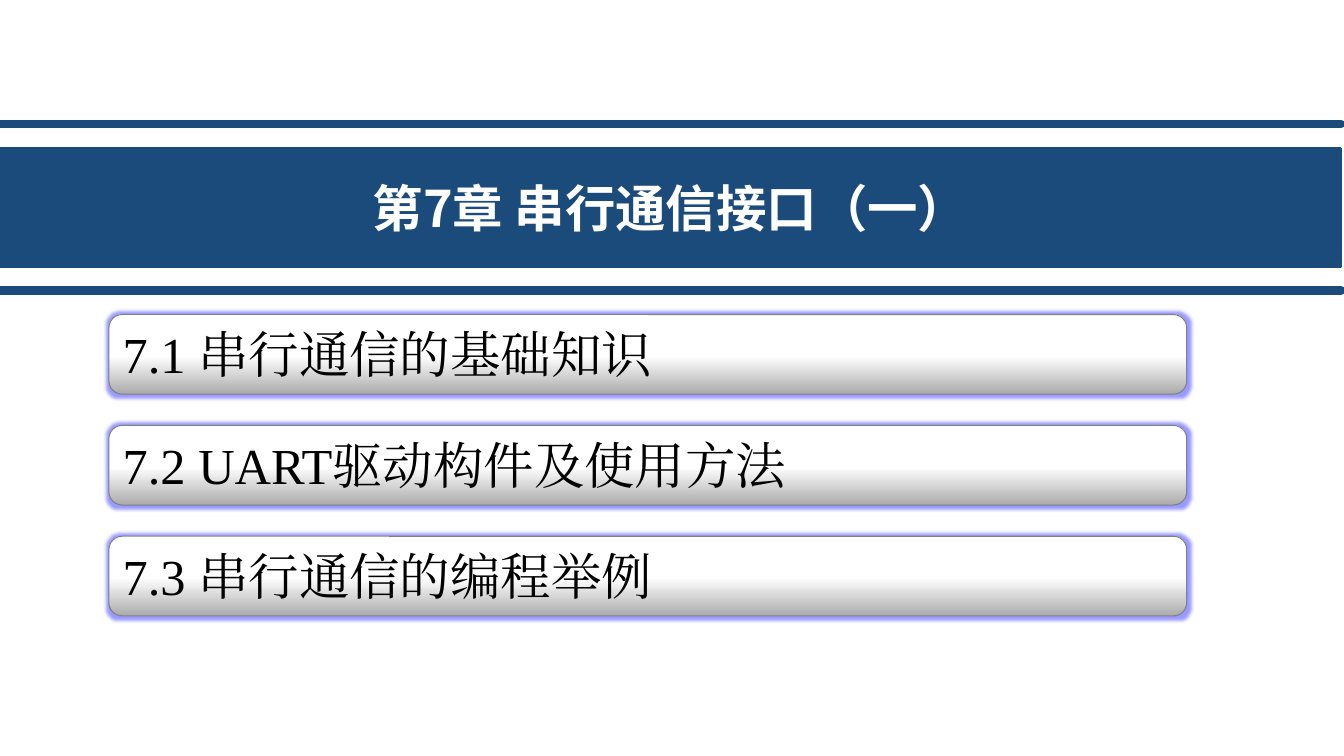
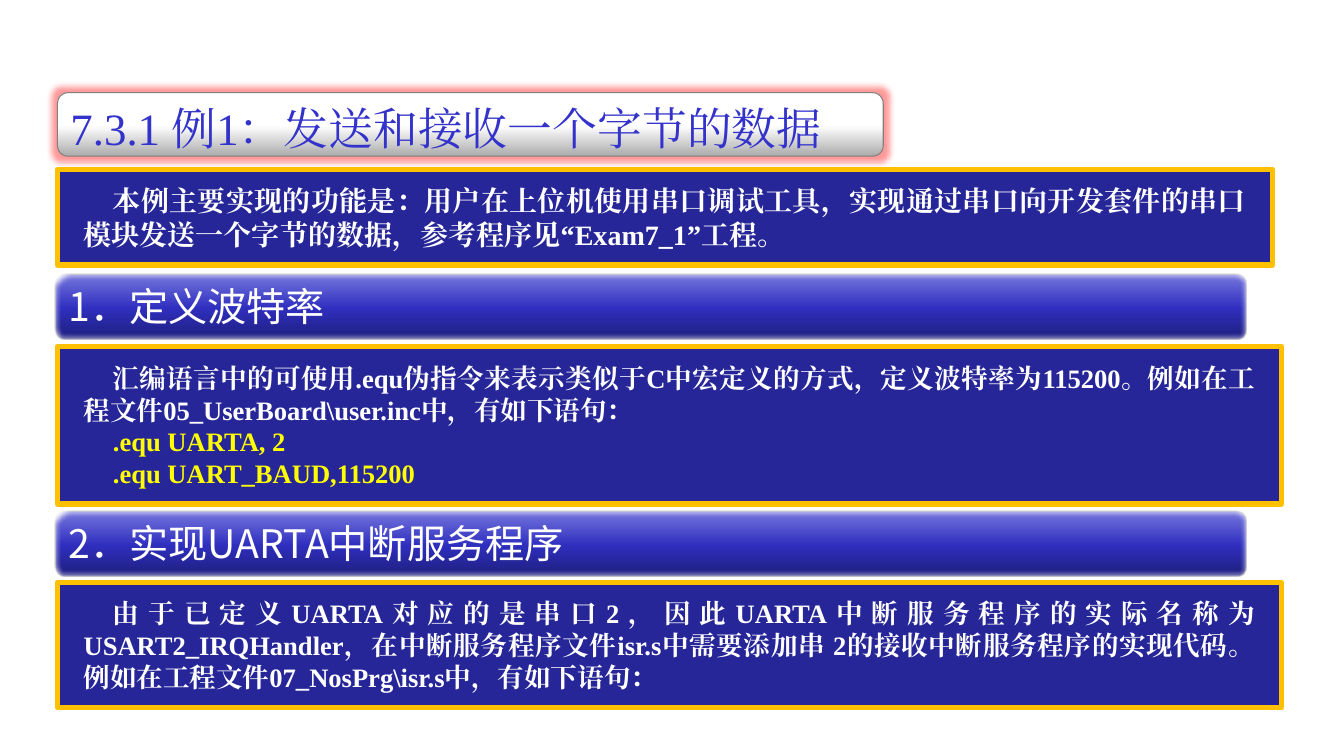
"""Build the chapter opener and the first worked example on serial communication."""
from dataclasses import dataclass
from typing import Optional

import pptx
import pptx.dml.color
import pptx.enum.shapes
import pptx.enum.text
import pptx.oxml
import pptx.oxml.ns
import pptx.util
from lxml import etree

Inches = pptx.util.Inches
Pt = pptx.util.Pt
RGBColor = pptx.dml.color.RGBColor
Shape = pptx.enum.shapes.MSO_SHAPE
Align = pptx.enum.text.PP_ALIGN
Anchor = pptx.enum.text.MSO_ANCHOR
qn = pptx.oxml.ns.qn

SANS = "Noto Sans CJK SC"
SERIF = "Times New Roman"
WHITE = RGBColor(0xFF, 0xFF, 0xFF)
BLACK = RGBColor(0x00, 0x00, 0x00)
GRAY = RGBColor(0x80, 0x80, 0x80)
SILVER = RGBColor(0xAB, 0xAB, 0xAB)
BANNER_BLUE = RGBColor(0x1B, 0x4B, 0x7B)
HEADING_BLUE = RGBColor(0x33, 0x33, 0xCC)
PANEL_BLUE = RGBColor(0x26, 0x26, 0x99)
GOLD = RGBColor(0xFF, 0xC0, 0x00)
YELLOW = RGBColor(0xFF, 0xFF, 0x00)
BLUE_GLOW = RGBColor(0x33, 0x33, 0xFF)
RED_GLOW = RGBColor(0xFF, 0x33, 0x33)
SILVER_FADE = (SILVER, WHITE, WHITE)
BLUE_FADE = (RGBColor(0x1E, 0x1E, 0x7C), RGBColor(0x2F, 0x2F, 0xC0), RGBColor(0x78, 0x78, 0xDE))
FADE_STOPS = (0, 48000, 100000)


@dataclass(frozen=True)
class Box:
    """Place of a shape in inches."""
    left: float
    top: float
    width: float
    height: float


@dataclass(frozen=True)
class Plate:
    """Rounded heading with a vertical fade; no glow means soft edges."""
    box: Box
    text: str
    size: int
    color: RGBColor
    font: str = SERIF
    fade: tuple = SILVER_FADE
    glow: Optional[RGBColor] = None
    glow_radius: float = 0


@dataclass(frozen=True)
class Panel:
    """Framed body text, followed by optional code lines."""
    box: Box
    text: str
    size: int
    code: tuple = ()


CHAPTER_SECTIONS = (
    "7.1 串行通信的基础知识",
    "7.2 UART驱动构件及使用方法",
    "7.3 串行通信的编程举例",
)
EXAMPLE_HEADING = Plate(Box(0.57, 0.92, 8.19, 0.63), "7.3.1 例1：发送和接收一个字节的数据",
                        32, HEADING_BLUE, glow=RED_GLOW, glow_radius=8)
STEPS = tuple(
    Plate(Box(0.55, top, 11.81, 0.64), text, 28, WHITE, SANS, BLUE_FADE)
    for top, text in ((2.72, "1．定义波特率"), (5.07, "2．实现UARTA中断服务程序"))
)
PANELS = (
    Panel(Box(0.57, 1.68, 12.05, 0.95),
          "本例主要实现的功能是：用户在上位机使用串口调试工具，实现通过串口向开发套件的"
          "串口模块发送一个字节的数据，参考程序见“Exam7_1”工程。", 20),
    Panel(Box(0.57, 3.44, 12.14, 1.56),
          "汇编语言中的可使用.equ伪指令来表示类似于C中宏定义的方式，定义波特率为115200。"
          "例如在工程文件05_UserBoard\\user.inc中，有如下语句：", 19,
          (".equ UARTA, 2", ".equ UART_BAUD,115200")),
    Panel(Box(0.57, 5.78, 12.14, 1.24),
          "由于已定义UARTA对应的是串口2，因此UARTA中断服务程序的实际名称为"
          "USART2_IRQHandler，在中断服务程序文件isr.s中需要添加串 2的接收中断服务程序的"
          "实现代码。例如在工程文件07_NosPrg\\isr.s中，有如下语句：", 19),
)


def write(paragraph, text: str, *, size: int, color: RGBColor, font: str = SERIF,
          bold: bool = False, align=Align.LEFT, indent: float = 0) -> None:
    """Put formatted text into a paragraph."""
    paragraph.alignment = align
    if indent:
        properties = paragraph._p.get_or_add_pPr()
        properties.set("marL", "0")
        properties.set("indent", str(Inches(indent)))
    run = paragraph.add_run()
    run.text = text
    run.font.size = Pt(size)
    run.font.bold = bold
    run.font.name = font
    run.font.color.rgb = color
    etree.SubElement(run._r.get_or_add_rPr(), qn("a:ea"), typeface=font)


def add_block(slide, preset, box: Box, line_color: RGBColor, line_width: float,
              fill: Optional[RGBColor] = None):
    """Add an outlined shape without shadow."""
    block = slide.shapes.add_shape(preset, Inches(box.left), Inches(box.top),
                                   Inches(box.width), Inches(box.height))
    block.shadow.inherit = False
    block.line.color.rgb = line_color
    block.line.width = Pt(line_width)
    if fill is not None:
        block.fill.solid()
        block.fill.fore_color.rgb = fill
    return block


def add_color(parent, color: RGBColor):
    """Append a colour element."""
    return etree.SubElement(parent, qn("a:srgbClr"), val=str(color))


def fade_upward(block, colors: tuple) -> None:
    """Fill a shape with a three-stop gradient from bottom to top."""
    block.fill.gradient()
    block.fill.gradient_angle = 90
    stops = block._element.spPr.find(qn("a:gradFill")).find(qn("a:gsLst"))
    for stop in list(stops):
        stops.remove(stop)
    for position, color in zip(FADE_STOPS, colors):
        add_color(etree.SubElement(stops, qn("a:gs"), pos=str(position)), color)


def add_plate(slide, plate: Plate) -> None:
    """Draw a rounded heading."""
    block = add_block(slide, Shape.ROUNDED_RECTANGLE, plate.box, GRAY, 0.75)
    fade_upward(block, plate.fade)
    effects = block._element.spPr.find(qn("a:effectLst"))
    if plate.glow is None:
        etree.SubElement(effects, qn("a:softEdge"), rad=str(Pt(2.5)))
    else:
        glow = etree.SubElement(effects, qn("a:glow"), rad=str(Pt(plate.glow_radius)))
        etree.SubElement(add_color(glow, plate.glow), qn("a:alpha"), val="50000")
    frame = block.text_frame
    frame.word_wrap = False
    frame.vertical_anchor = Anchor.TOP
    write(frame.paragraphs[0], plate.text, size=plate.size, color=plate.color, font=plate.font)


def add_panel(slide, panel: Panel) -> None:
    """Draw a framed text panel."""
    frame = add_block(slide, Shape.RECTANGLE, panel.box, GOLD, 3.75, PANEL_BLUE).text_frame
    frame.word_wrap = True
    frame.auto_size = pptx.enum.text.MSO_AUTO_SIZE.SHAPE_TO_FIT_TEXT
    frame.vertical_anchor = Anchor.MIDDLE
    frame.margin_left = frame.margin_right = Inches(0.26)
    frame.margin_top = frame.margin_bottom = Inches(0.14)
    for number, text in enumerate((panel.text, *panel.code)):
        paragraph = frame.add_paragraph() if number else frame.paragraphs[0]
        write(paragraph, text, size=panel.size, color=YELLOW if number else WHITE,
              bold=True, align=Align.JUSTIFY, indent=0.29)


def add_rule(slide, top: float) -> None:
    """Draw a thick horizontal rule with round ends."""
    rule = slide.shapes.add_connector(pptx.enum.shapes.MSO_CONNECTOR.STRAIGHT,
                                      Inches(0), Inches(top), Inches(13.3), Inches(top))
    rule.line.color.rgb = BANNER_BLUE
    rule.line.width = Pt(6)
    rule.line._get_or_add_ln().set("cap", "rnd")
    etree.SubElement(rule._element.spPr, qn("a:effectLst"))


def build_chapter(slide) -> None:
    """Draw the chapter banner and its sections."""
    banner = add_block(slide, Shape.RECTANGLE, Box(0, 1.47, 13.3, 1.18), BANNER_BLUE, 2,
                       BANNER_BLUE)
    banner.text_frame.vertical_anchor = Anchor.MIDDLE
    write(banner.text_frame.paragraphs[0], "第7章 串行通信接口（一）", size=36, color=WHITE,
          font=SANS, bold=True, align=Align.CENTER)
    for top in (2.88, 1.23):
        add_rule(slide, top)
    for number, section in enumerate(CHAPTER_SECTIONS):
        add_plate(slide, Plate(Box(1.08, 3.12 + 1.1 * number, 10.69, 0.79), section, 36, BLACK,
                               glow=BLUE_GLOW, glow_radius=5))


def build_example(slide) -> None:
    """Draw the example heading, its steps and panels."""
    for plate in (EXAMPLE_HEADING, *STEPS):
        add_plate(slide, plate)
    for panel in PANELS:
        add_panel(slide, panel)


def main() -> None:
    """Build and save the presentation."""
    deck = pptx.Presentation()
    deck.slide_width = Inches(13.33)
    deck.slide_height = Inches(7.5)
    for build in (build_chapter, build_example):
        build(deck.slides.add_slide(deck.slide_layouts[6]))
    deck.save("out.pptx")


if __name__ == "__main__":
    main()
